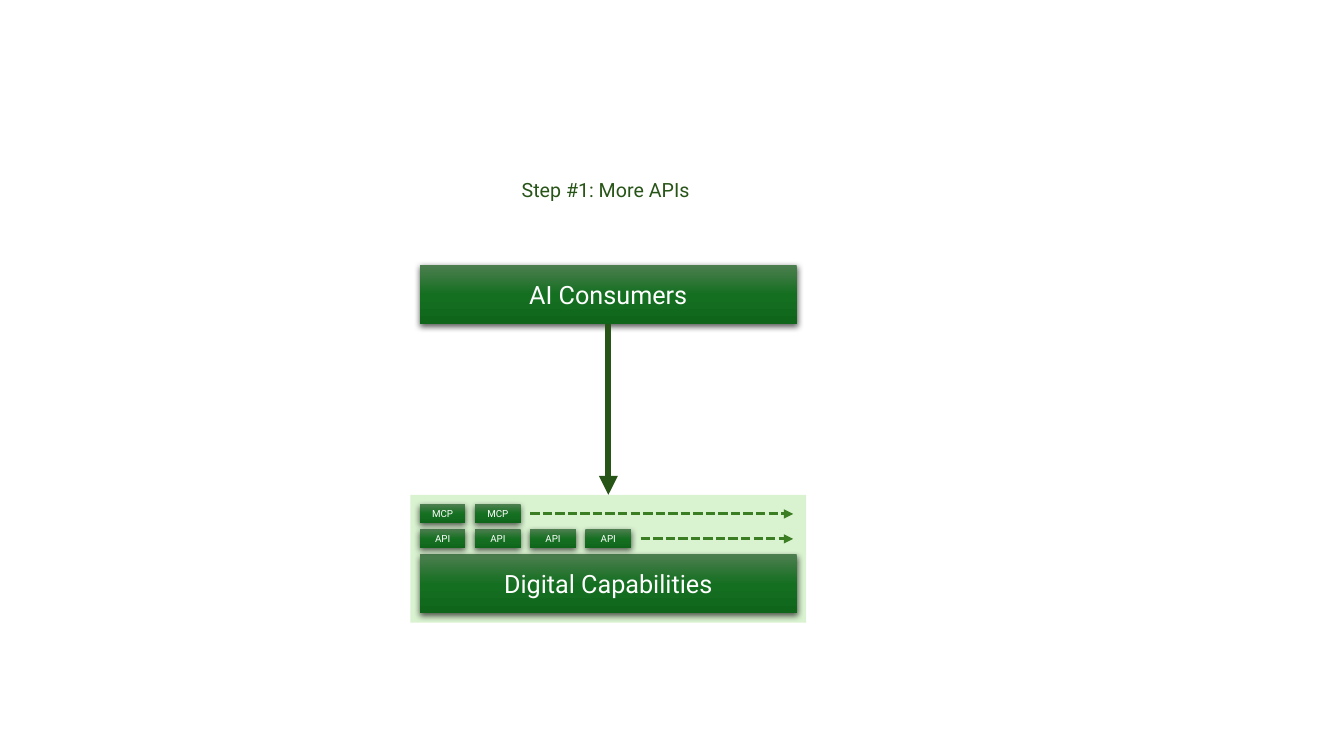
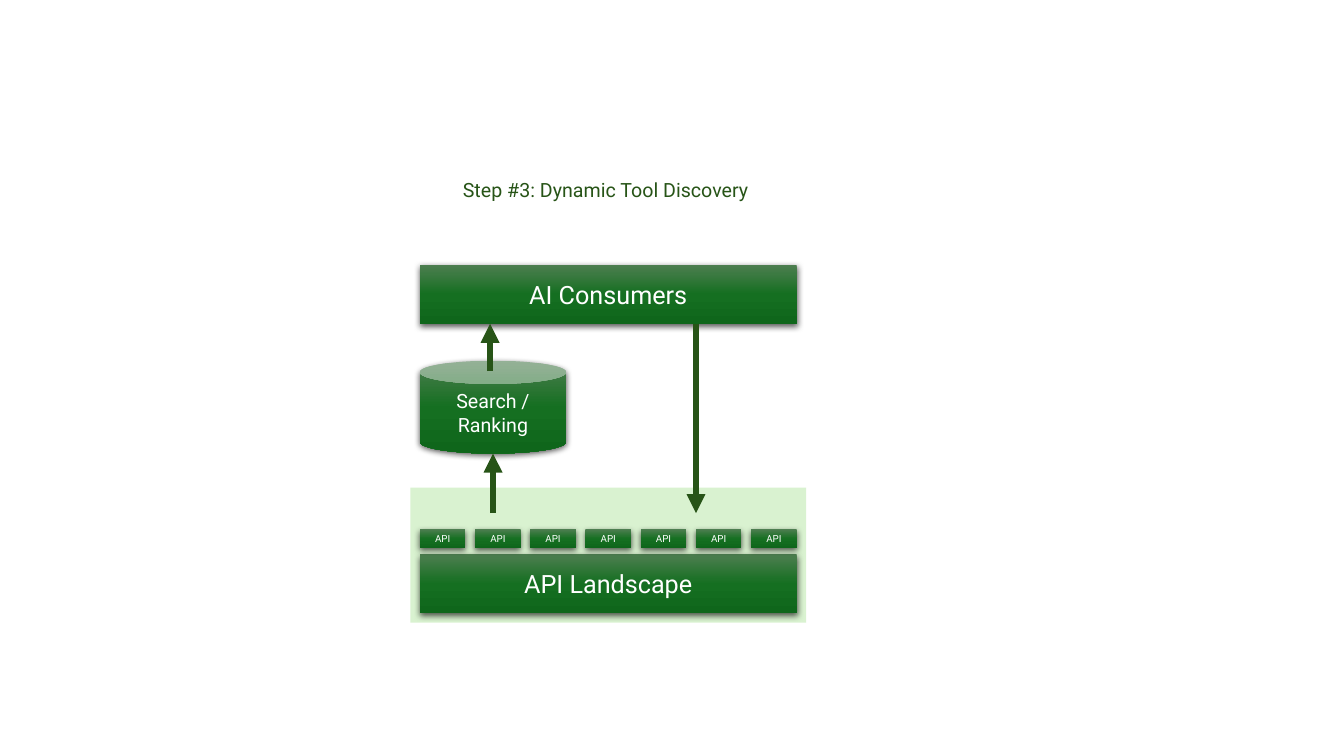
from pptx import Presentation
from pptx.dml.color import RGBColor
from pptx.enum.dml import MSO_LINE_DASH_STYLE as Dash
from pptx.enum.shapes import MSO_CONNECTOR_TYPE as Link, MSO_SHAPE as Preset
from pptx.enum.text import MSO_ANCHOR as Anchor, MSO_AUTO_SIZE as Fit, PP_ALIGN as Align
from pptx.oxml import parse_xml
from pptx.oxml.ns import nsdecls, qn
from pptx.util import Cm, Pt

# Shared look
FONT = "Roboto"
WHITE, DARK_GREEN, MID_GREEN, PALE_GREEN = "FFFFFF", "275417", "3B7D23", "D9F2D0"
GRADIENT = ((0, "4D7E50"), (50, "156F21"), (100, "0F661B"))

# Shared layout, in centimetres
LEFT, WIDTH, BAR_HEIGHT = 10.58, 9.5, 1.48
TITLE_BOX = (10.54, 4.37, 9.45, 0.86)
CONSUMER_BOX = (LEFT, 6.68, WIDTH, BAR_HEIGHT)
CONSUMER_BOTTOM = CONSUMER_BOX[1] + BAR_HEIGHT
PANEL_BOTTOM, PANEL_PAD = 15.69, 0.24
CHIP_WIDTH, CHIP_HEIGHT, CHIP_SLOTS, ROW_PITCH = 1.15, 0.48, 7, 0.63


def colour(value):
    return RGBColor.from_string(value)


def apply(target, values):
    for name, value in values.items():
        setattr(target, name, value)


def write(shape, text, size, hue, margin=0.25, **frame_values):
    frame = shape.text_frame
    apply(frame, {"word_wrap": True, "margin_left": Cm(margin),
                  "margin_right": Cm(margin), **frame_values})
    para = frame.paragraphs[0]
    para.text = text
    para.alignment = Align.CENTER
    apply(para.font, {"name": FONT, "size": Pt(size)})
    para.font.color.rgb = colour(hue)


def add_preset(page, preset, box):
    shape = page.shapes.add_shape(preset, *map(Cm, box))
    shape.shadow.inherit = False
    shape.line.fill.background()
    return shape


def add_block(page, box, text, size, preset=Preset.RECTANGLE, margin=0.25):
    """Green gradient block with a soft shadow and white text."""
    block = add_preset(page, preset, box)
    stops = "".join(f'<a:gs pos="{pos * 1000}"><a:srgbClr val="{hue}"/></a:gs>'
                    for pos, hue in GRADIENT)
    props = block.element.spPr
    props.find(qn("a:prstGeom")).addnext(parse_xml(
        f'<a:gradFill {nsdecls("a")} rotWithShape="1"><a:gsLst>{stops}</a:gsLst>'
        '<a:lin ang="5400000" scaled="0"/></a:gradFill>'))
    props.find(qn("a:effectLst")).append(parse_xml(
        f'<a:outerShdw {nsdecls("a")} blurRad="57150" dist="19050" dir="5400000" '
        'algn="ctr" rotWithShape="0"><a:srgbClr val="000000">'
        '<a:alpha val="63000"/></a:srgbClr></a:outerShdw>'))
    write(block, text, size, WHITE, margin, vertical_anchor=Anchor.MIDDLE)
    return block


def add_arrow(page, start, end, hue=DARK_GREEN, width=4.5, dash=None):
    arrow = page.shapes.add_connector(Link.STRAIGHT, *map(Cm, (*start, *end)))
    apply(arrow.line, {"width": Pt(width), "dash_style": dash})
    arrow.line.color.rgb = colour(hue)
    arrow.line._get_or_add_ln().append(
        parse_xml(f'<a:tailEnd {nsdecls("a")} type="triangle"/>'))
    arrow.element.spPr.append(parse_xml(f'<a:effectLst {nsdecls("a")}/>'))
    return arrow


def add_chip_row(page, left, top, width, label, count):
    """Row of small blocks; a dashed arrow fills the unused slots."""
    pitch = (width - CHIP_WIDTH) / (CHIP_SLOTS - 1)
    for slot in range(count):
        add_block(page, (left + slot * pitch, top, CHIP_WIDTH, CHIP_HEIGHT), label, 7, margin=0)
    if count < CHIP_SLOTS:
        middle = top + CHIP_HEIGHT / 2
        add_arrow(page, (left + count * pitch, middle), (left + width - 0.09, middle),
                  MID_GREEN, 2.25, Dash.SQUARE_DOT)


def add_panel(page, box, label, rows):
    """Pale panel with a bar at its foot and chip rows stacked above the bar."""
    left, top, width, height = box
    panel = add_preset(page, Preset.RECTANGLE, box)
    panel.fill.solid()
    panel.fill.fore_color.rgb = colour(PALE_GREEN)
    inner_left, inner_width = left + PANEL_PAD, width - 2 * PANEL_PAD
    bar_top = top + height - PANEL_PAD - BAR_HEIGHT
    add_block(page, (inner_left, bar_top, inner_width, BAR_HEIGHT), label, 18)
    for level, (chip, count) in enumerate(rows, 1):
        add_chip_row(page, inner_left, bar_top - level * ROW_PITCH, inner_width, chip, count)
    return panel


def add_step(deck, title, panel_top, panel_label, rows):
    """Page with title, consumer bar and panel."""
    page = deck.slides.add_slide(deck.slide_layouts[6])
    heading = page.shapes.add_textbox(*map(Cm, TITLE_BOX))
    write(heading, title, 14, DARK_GREEN, auto_size=Fit.SHAPE_TO_FIT_TEXT)
    panel_box = (LEFT - PANEL_PAD, panel_top, WIDTH + 2 * PANEL_PAD, PANEL_BOTTOM - panel_top)
    panel = add_panel(page, panel_box, panel_label, rows)
    consumers = add_block(page, CONSUMER_BOX, "AI Consumers", 18)
    return page, consumers, panel


def add_more_apis(deck):
    panel_top = 12.47
    page, consumers, panel = add_step(deck, "Step #1: More APIs", panel_top,
                                      "Digital Capabilities", [("API", 4), ("MCP", 2)])
    centre = LEFT + WIDTH / 2
    arrow = add_arrow(page, (centre, CONSUMER_BOTTOM), (centre, panel_top))
    arrow.begin_connect(consumers, 2)
    arrow.end_connect(panel, 0)


def add_tool_discovery(deck):
    page, _, _ = add_step(deck, "Step #3: Dynamic Tool Discovery", 12.29,
                          "API Landscape", [("API", 7)])
    # Search store
    store_top, store_width, store_height = 9.09, 3.69, 2.34
    add_block(page, (LEFT, store_top, store_width, store_height),
              "Search /\vRanking", 14, Preset.CAN)
    # Flow between the layers
    call_x, result_x, index_x, api_y = 17.54, 12.35, LEFT + store_width / 2, 12.93
    add_arrow(page, (call_x, CONSUMER_BOTTOM), (call_x, api_y))
    add_arrow(page, (result_x, store_top + 0.26), (result_x, CONSUMER_BOTTOM))
    add_arrow(page, (index_x, api_y), (index_x, store_top + store_height))


def main():
    deck = Presentation()
    apply(deck, {"slide_width": Cm(33.87), "slide_height": Cm(19.05)})
    add_more_apis(deck)
    add_tool_discovery(deck)
    deck.save("out.pptx")


if __name__ == "__main__":
    main()
